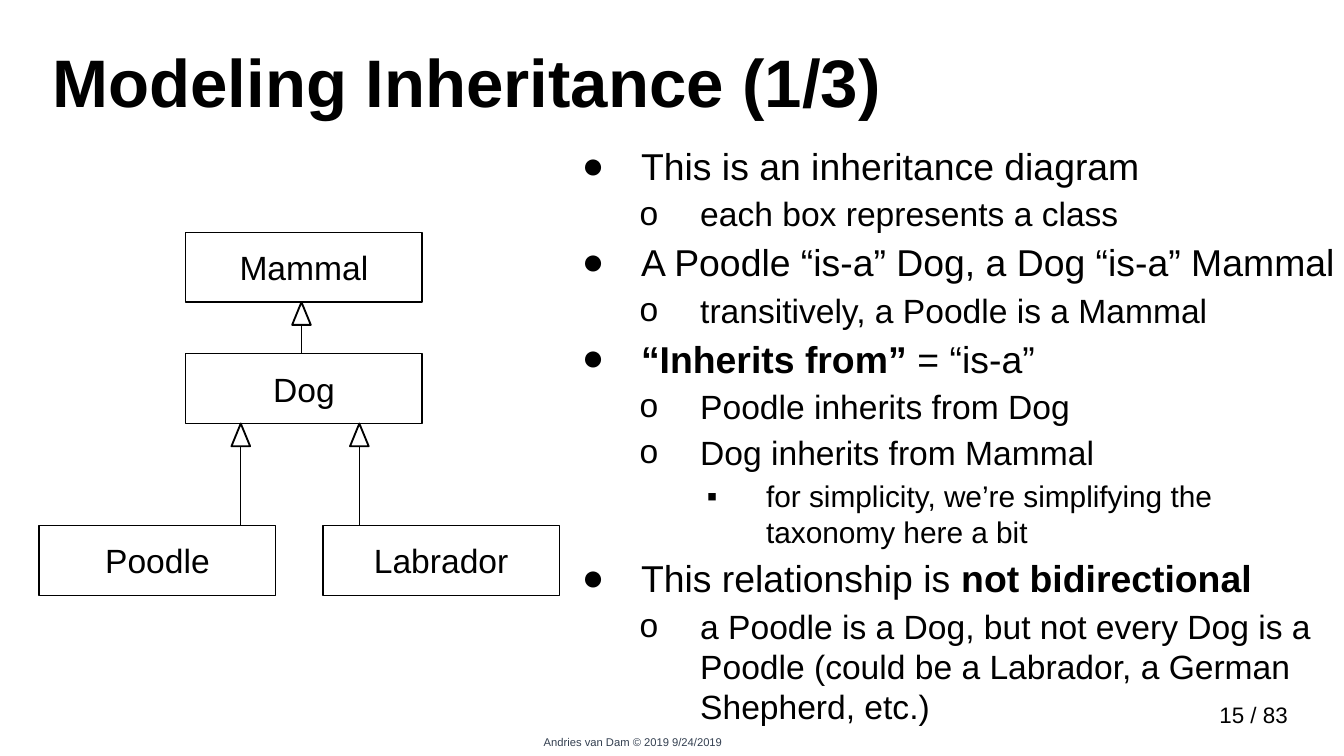
from lxml.etree import SubElement
from pptx import Presentation
from pptx.dml.color import RGBColor
from pptx.enum.shapes import MSO_CONNECTOR, MSO_SHAPE
from pptx.enum.text import MSO_ANCHOR as Anchor, MSO_AUTO_SIZE, PP_ALIGN as Align
from pptx.oxml.ns import qn
from pptx.util import Pt

COLORS = {"background": "FFFFFF", "ink": "000000", "credit": "333F50"}
FONT = "Arial"

# bullet, text indent, hanging indent and text size of each list level
LEVELS = [("●", 36.7, 31.7, 20), ("o", 68.4, 32.4, 18), ("▪", 103.7, 31.7, 16)]

# level, then (text, bold) runs
POINTS = [
    (0, [("This is an inheritance diagram", False)]),
    (1, [("each box represents a class", False)]),
    (0, [("A Poodle “is-a” Dog, a Dog “is-a” Mammal", False)]),
    (1, [("transitively, a Poodle is a Mammal", False)]),
    (0, [("“Inherits from” ", True), ("= “is-a”", False)]),
    (1, [("Poodle inherits from Dog", False)]),
    (1, [("Dog inherits from Mammal", False)]),
    (2, [("for simplicity, we’re simplifying the taxonomy here a bit", False)]),
    (0, [("This relationship is ", False), ("not bidirectional", True)]),
    (1, [("a Poodle is a Dog, but not every Dog is a Poodle "
          "(could be a Labrador, a German Shepherd, etc.)", False)]),
]

# class name: offset within the diagram
CLASSES = {"Mammal": (78.5, 0), "Dog": (78.5, 65),
           "Poodle": (0, 157), "Labrador": (152, 157)}
# subclass, superclass, horizontal offset of the arrow
INHERITANCE = [("Dog", "Mammal", 140.5), ("Poodle", "Dog", 108),
               ("Labrador", "Dog", 171.5)]
CLASS_WIDTH, CLASS_HEIGHT = 126.7, 37.4
HEAD_WIDTH, HEAD_HEIGHT = 10, 12.2


def apply(target, **values):
    for name, value in values.items():
        setattr(target, name, value)


def color(name):
    return RGBColor.from_string(COLORS[name])


def place(shape, box):
    apply(shape, **dict(zip(("left", "top", "width", "height"), map(Pt, box))))


def add_run(paragraph, text, size, bold=False, ink="ink"):
    run = paragraph.add_run()
    run.text = text
    apply(run.font, name=FONT, size=Pt(size), bold=bold)
    run.font.color.rgb = color(ink)


def set_bullet(paragraph, level):
    """Give the paragraph the bullet and hanging indent of its level."""
    char, indent, hanging, _ = LEVELS[level]
    props = paragraph._p.get_or_add_pPr()
    props.set("marL", str(Pt(indent)))
    props.set("indent", str(-Pt(hanging)))
    bullet_color = SubElement(props, qn("a:buClr"))
    SubElement(bullet_color, qn("a:srgbClr"), val=COLORS["ink"])
    SubElement(props, qn("a:buFont"), typeface=FONT)
    SubElement(props, qn("a:buChar"), char=char)


def fill_title(title, box):
    place(title, box)
    apply(title.text_frame, vertical_anchor=Anchor.MIDDLE, word_wrap=True,
          auto_size=MSO_AUTO_SIZE.NONE)
    heading = title.text_frame.paragraphs[0]
    apply(heading, alignment=Align.LEFT, line_spacing=0.9)
    add_run(heading, "Modeling Inheritance (1/3)", 36, bold=True)


def fill_points(body, box):
    place(body, box)
    frame = body.text_frame
    apply(frame, vertical_anchor=Anchor.TOP, word_wrap=True,
          auto_size=MSO_AUTO_SIZE.NONE)
    for index, (level, runs) in enumerate(POINTS):
        point = frame.add_paragraph() if index else frame.paragraphs[0]
        set_bullet(point, level)
        apply(point, level=level, space_before=Pt(3 if index else 0))
        for text, bold in runs:
            add_run(point, text, LEVELS[level][3], bold)


def add_outline(slide, kind, box, weight):
    outline = slide.shapes.add_shape(kind, *map(Pt, box))
    outline.shadow.inherit = False
    outline.fill.background()
    outline.line.color.rgb = color("ink")
    outline.line.width = Pt(weight)
    return outline


def add_class(slide, name, box):
    frame = add_outline(slide, MSO_SHAPE.RECTANGLE, box, 0.75).text_frame
    apply(frame, vertical_anchor=Anchor.MIDDLE, word_wrap=True,
          margin_top=Pt(7.2), margin_bottom=Pt(7.2))
    label = frame.paragraphs[0]
    label.alignment = Align.CENTER
    add_run(label, name, 18)


def add_inheritance_arrow(slide, x, start, tip):
    """Draw a line up from start to a hollow head that ends at tip."""
    stem = slide.shapes.add_connector(
        MSO_CONNECTOR.STRAIGHT, Pt(x), Pt(start), Pt(x), Pt(tip + HEAD_HEIGHT))
    stem.line.color.rgb = color("ink")
    stem.line.width = Pt(0.5)
    SubElement(stem._element.spPr, qn("a:effectLst"))
    add_outline(slide, MSO_SHAPE.ISOSCELES_TRIANGLE,
                (x - HEAD_WIDTH / 2, tip, HEAD_WIDTH, HEAD_HEIGHT), 1)


def add_diagram(slide, left, top):
    for name, (x, y) in CLASSES.items():
        add_class(slide, name, (left + x, top + y, CLASS_WIDTH, CLASS_HEIGHT))
    for subclass, superclass, x in INHERITANCE:
        add_inheritance_arrow(slide, left + x, top + CLASSES[subclass][1],
                              top + CLASSES[superclass][1] + CLASS_HEIGHT)


def add_note(slide, box, text, size, ink, alignment, anchor):
    frame = slide.shapes.add_textbox(*map(Pt, box)).text_frame
    apply(frame, word_wrap=True, vertical_anchor=anchor)
    line = frame.paragraphs[0]
    line.alignment = alignment
    add_run(line, text, size, ink=ink)


def add_footer(slide, left, top):
    add_note(slide, (left, top + 18, 198, 31.5), "Andries van Dam © 2019 9/24/2019",
             6, "credit", Align.CENTER, Anchor.TOP)
    add_note(slide, (left + 295, top, 162, 21.5), "15 / 83",
             12, "ink", Align.RIGHT, Anchor.MIDDLE)


def main():
    deck = Presentation()
    apply(deck, slide_width=Pt(720), slide_height=Pt(405))
    slide = deck.slides.add_slide(deck.slide_layouts[1])
    slide.background.fill.solid()
    slide.background.fill.fore_color.rgb = color("background")
    fill_title(slide.shapes.title, (21, 21.5, 675.5, 49))
    add_diagram(slide, 21, 124.5)
    fill_points(slide.placeholders[1], (299.5, 73, 423.5, 319))
    add_footer(slide, 240, 372.3)
    deck.save("out.pptx")


if __name__ == "__main__":
    main()
